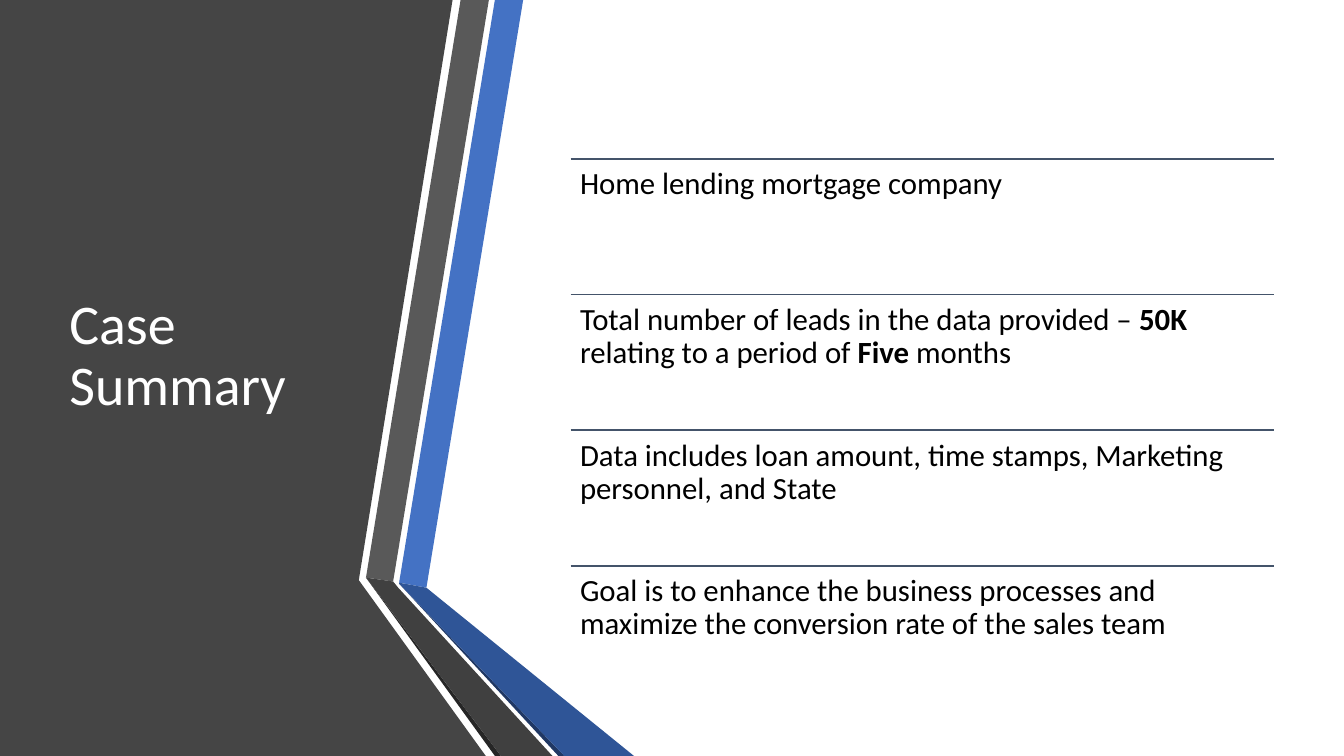
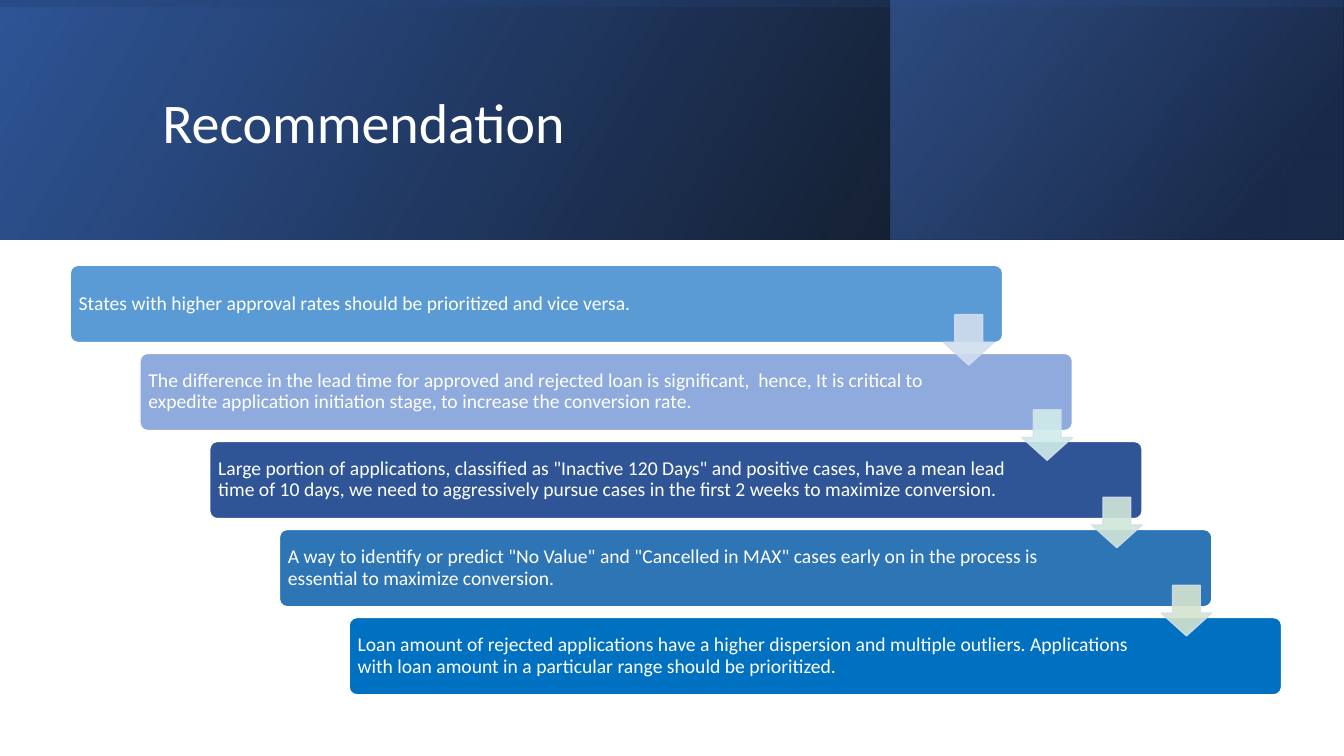
from lxml import etree
from pptx import Presentation
from pptx.dml.color import RGBColor
from pptx.enum.shapes import MSO_CONNECTOR, MSO_SHAPE
from pptx.enum.text import MSO_ANCHOR, PP_ALIGN
from pptx.oxml import parse_xml
from pptx.oxml.ns import nsdecls, qn
from pptx.util import Pt

RECT, ROUNDED = MSO_SHAPE.RECTANGLE, MSO_SHAPE.ROUNDED_RECTANGLE
ARROW, STRAIGHT = MSO_SHAPE.DOWN_ARROW, MSO_CONNECTOR.STRAIGHT
TOP, MIDDLE, LEFT = MSO_ANCHOR.TOP, MSO_ANCHOR.MIDDLE, PP_ALIGN.LEFT

FONT = "Calibri"
WIDTH, HEIGHT = 960, 540
COLORS = {
    "white": "FFFFFF", "black": "000000", "panel": "454545", "rule": "44546A",
    "blue": "4472C4", "deep_blue": "2F5597", "navy": "203864",
    "gray": "595959", "dark_gray": "404040", "near_black": "262626",
    "sky": "5B9BD5", "lavender": "8FAADC", "steel": "2E75B6", "azure": "0070C0",
    "pale_blue": "D2DEEF", "pale_cyan": "D0ECEA",
    "pale_mint": "D0E7D8", "pale_green": "D5E3CF",
}

# Case summary: each fact is a list of (text, bold) runs
SUMMARY_TITLE = "Case Summary"
FACTS = [
    [("Home lending mortgage company", False)],
    [("Total number of leads in the data provided – ", False), ("50K", True),
     (" relating to a period of ", False), ("Five", True), (" months", False)],
    [("Data includes loan amount, time stamps, Marketing personnel, and State", False)],
    [("Goal is to enhance the business processes and maximize the conversion "
      "rate of the sales team", False)],
]
# Folded ribbon beside the title: colour and corner points
RIBBON = [
    ("panel", [(0, 0), (323.3, 0), (256.3, 414.4), (347, 540), (0, 540)]),
    ("blue", [(285.1, 416.2), (304.6, 419.8), (373.7, 0), (353.5, 0)]),
    ("gray", [(349.2, 0), (329, 0), (261.4, 412.6), (280.8, 415.4)]),
    ("near_black", [(261.4, 412.6), (353.5, 540), (357.8, 540)]),
    ("navy", [(285.1, 416.9), (398.9, 540), (403.2, 540)]),
    ("deep_blue", [(285.1, 416.9), (403.2, 540), (452.9, 540),
                   (304.6, 419.8), (285.1, 416.2)]),
    ("dark_gray", [(394.6, 540), (284.4, 419.8), (280.8, 415.4),
                   (261.4, 412.6), (357.8, 540)]),
]

# Recommendations: text, box colour, space kept free at the right
ADVICE_TITLE = "Recommendation"
ADVICE = [
    ("States with higher approval rates should be prioritized and vice versa.",
     "sky", 66),
    ("The difference in the lead time for approved and rejected loan is significant,  "
     "hence, It is critical to expedite application initiation stage, to increase "
     "the conversion rate.", "lavender", 90),
    ('Large portion of applications, classified as "Inactive 120 Days" and positive '
     "cases, have a mean lead time of 10 days, we need to aggressively pursue cases "
     "in the first 2 weeks to maximize conversion.", "deep_blue", 90),
    ('A way to identify or predict "No Value" and "Cancelled in MAX" cases early on '
     "in the process is essential to maximize conversion.", "steel", 90),
    ("Loan amount of rejected applications have a higher dispersion and multiple "
     "outliers. Applications with loan amount in a particular range should be "
     "prioritized.", "azure", 90),
]
# Arrows between steps: left, top, colour
STEP_ARROWS = [
    (674, 224.8, "pale_blue"), (730, 292.8, "pale_cyan"),
    (779.8, 355.2, "pale_mint"), (829.5, 418.2, "pale_green"),
]
# Banner layers: box, rotation, angle, stops of (position, colour, opacity)
BAND = 171
BANNER = [
    ((0, 0, WIDTH, BAND), 0, 330, [(0, "black", 96), (100, "deep_blue", 100)]),
    ((636.5, 0, 322.8, BAND), 0, 320, [(19, "navy", 68), (100, "blue", 48)]),
    (((WIDTH - BAND) / 2, (BAND - WIDTH) / 2, BAND, WIDTH), 270, 350,
     [(23, "deep_blue", 16), (99, "black", 45)]),
]


def rgb(name):
    return RGBColor.from_string(COLORS[name])


def paint(shape, fill, line=None):
    shape.shadow.inherit = False
    shape.fill.solid()
    shape.fill.fore_color.rgb = rgb(fill)
    if line:
        shape.line.color.rgb = rgb(line)
        shape.line.width = Pt(1)
    else:
        shape.line.fill.background()


def set_opacity(shape, percent):
    for color in shape._element.spPr.iter(qn("a:srgbClr")):
        etree.SubElement(color, qn("a:alpha"), val=str(percent * 1000))


def set_gradient(shape, angle, stops):
    stop_xml = "".join(
        f'<a:gs pos="{pos * 1000}"><a:srgbClr val="{COLORS[color]}">'
        f'<a:alpha val="{opacity * 1000}"/></a:srgbClr></a:gs>'
        for pos, color, opacity in stops)
    gradient = parse_xml(
        f'<a:gradFill {nsdecls("a")} rotWithShape="1"><a:gsLst>{stop_xml}</a:gsLst>'
        f'<a:lin ang="{angle * 60000}" scaled="0"/></a:gradFill>')
    properties = shape._element.spPr
    properties.replace(properties.find(qn("a:solidFill")), gradient)


def write(shape, runs, size, color, insets, anchor):
    frame = shape.text_frame
    frame.word_wrap = True
    frame.vertical_anchor = anchor
    (frame.margin_left, frame.margin_top,
     frame.margin_right, frame.margin_bottom) = map(Pt, insets)
    paragraph = frame.paragraphs[0]
    paragraph.alignment = LEFT
    paragraph.line_spacing = 0.9
    for text, bold in runs:
        run = paragraph.add_run()
        run.text = text
        run.font.name, run.font.size, run.font.bold = FONT, Pt(size), bold
        run.font.color.rgb = rgb(color)


def add_text(slide, box, runs, size, color, insets, anchor):
    write(slide.shapes.add_textbox(*map(Pt, box)), runs, size, color, insets, anchor)


def add_title(slide, box, text):
    add_text(slide, box, [(text, False)], 40, "white", (7.2, 3.6, 7.2, 3.6), MIDDLE)


def add_rule(slide, left, top, width):
    rule = slide.shapes.add_connector(
        STRAIGHT, Pt(left), Pt(top), Pt(left + width), Pt(top))
    rule.line.color.rgb = rgb("rule")
    rule.line.width = Pt(1)
    etree.SubElement(rule._element.spPr, qn("a:effectLst"))


def build_summary(slide):
    for color, points in RIBBON:
        corners = [(Pt(x), Pt(y)) for x, y in points]
        outline = slide.shapes.build_freeform(*corners[0])
        outline.add_line_segments(corners[1:], close=True)
        paint(outline.convert_to_shape(), color)
    add_title(slide, (42.5, 54, 218.9, 401.8), SUMMARY_TITLE)

    left, first_top, width, pitch = 407.7, 113.5, 502, 96.9
    for index, runs in enumerate(FACTS):
        top = first_top + index * pitch
        add_rule(slide, left, top, width)
        add_text(slide, (left, top, width, pitch), runs, 22, "black", (6.6,) * 4, TOP)


def build_advice(slide):
    for box, rotation, angle, stops in BANNER:
        layer = slide.shapes.add_shape(RECT, *map(Pt, box))
        paint(layer, "navy")
        set_gradient(layer, angle, stops)
        layer.rotation = rotation
        layer._element.spPr.find(qn("a:xfrm")).set("flipH", "1")
    add_title(slide, (108.9, 27.4, 765.4, 123.8), ADVICE_TITLE)

    # Staircase of steps
    left, top, step_x, step_y = 50.2, 189.5, 49.8, 62.9
    for index, (text, color, free_right) in enumerate(ADVICE):
        step = slide.shapes.add_shape(
            ROUNDED, Pt(left + index * step_x), Pt(top + index * step_y),
            Pt(666), Pt(55.2))
        step.adjustments[0] = 0.1
        paint(step, color, "white")
        write(step, [(text, False)], 14, "white", (4.4, 4.4, free_right, 4.4), MIDDLE)

    for arrow_left, arrow_top, color in STEP_ARROWS:
        arrow = slide.shapes.add_shape(
            ARROW, Pt(arrow_left), Pt(arrow_top), Pt(36), Pt(36))
        # Shaft width, then head length
        arrow.adjustments[0], arrow.adjustments[1] = 0.55, 0.45
        paint(arrow, color, "pale_blue")
        set_opacity(arrow, 90)


def main():
    deck = Presentation()
    deck.slide_width, deck.slide_height = Pt(WIDTH), Pt(HEIGHT)
    blank = deck.slide_layouts[6]
    for build in (build_summary, build_advice):
        build(deck.slides.add_slide(blank))
    deck.save("out.pptx")


if __name__ == "__main__":
    main()
